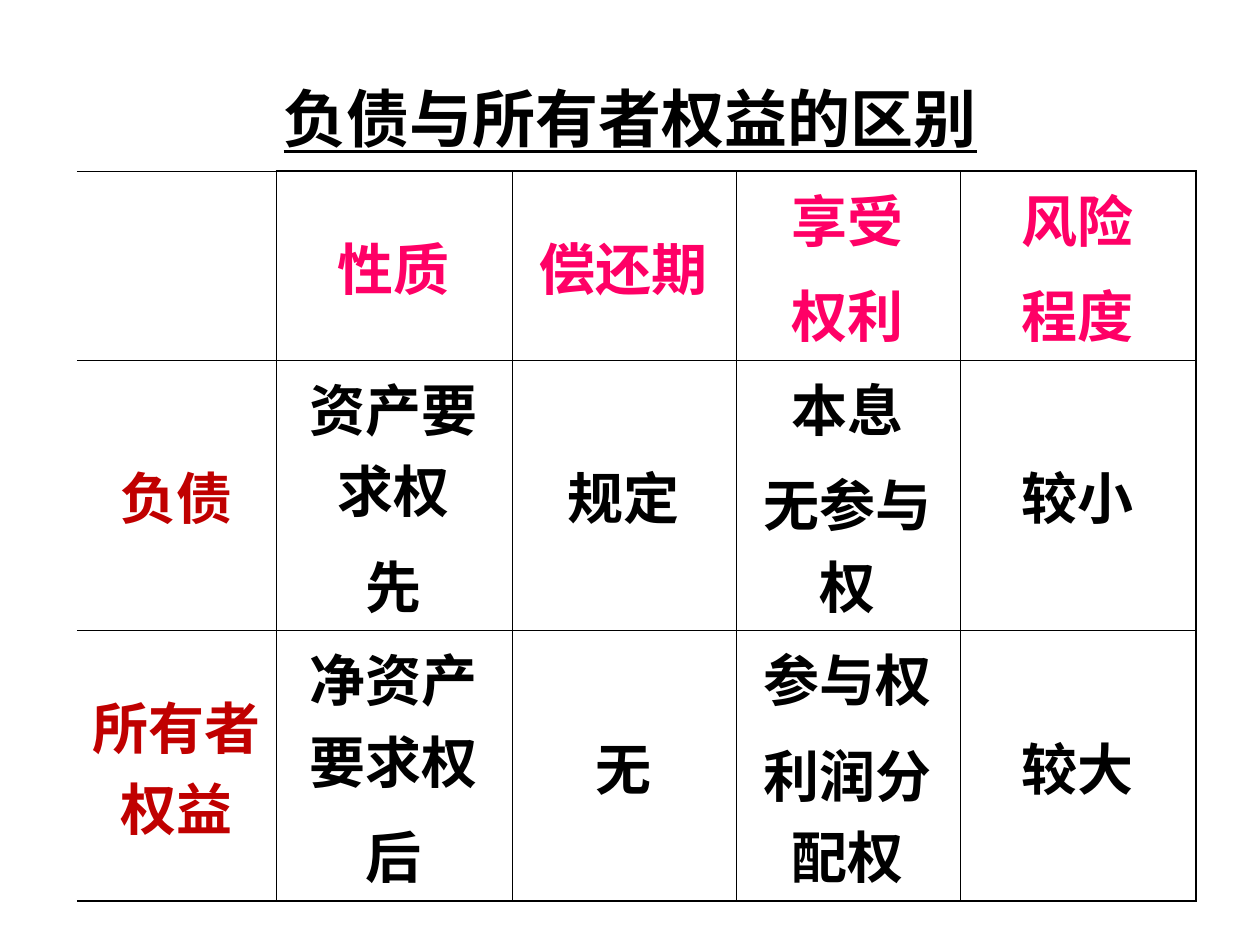
"""Build a slide comparing liabilities with owners' equity in a bordered table."""
import lxml.etree
import pptx
import pptx.dml.color
import pptx.enum.text
import pptx.oxml.ns
import pptx.util

TITLE = "负债与所有者权益的区别"
ROWS = [
    [[], ["性质"], ["偿还期"], ["享受", "权利"], ["风险", "程度"]],
    [["负债"], ["资产要求权", "先"], ["规定"], ["本息", "无参与权"], ["较小"]],
    [["所有者权益"], ["净资产要求权", "后"], ["无"], ["参与权", "利润分配权"], ["较大"]],
]
COLUMN_WIDTHS = [199, 236, 224, 224, 236]
ROW_HEIGHTS = [174, 228, 228]
TABLE_LEFT, TABLE_TOP = 77, 171
TITLE_BOX = (63, 38, 1134, 158)
BLACK, PINK, RED = "000000", "FF0066", "C00000"
THIN, THICK = 0.45, 1.08


def px(length):
    return pptx.util.Emu(length * 914400 // 126)


def style_font(font, name, size, color):
    font.name, font.size, font.bold = name, pptx.util.Pt(size), True
    font.color.rgb = pptx.dml.color.RGBColor.from_string(color)


def add_border(cell, side, width):
    qn = pptx.oxml.ns.qn
    properties = cell._tc.get_or_add_tcPr()
    line = lxml.etree.SubElement(properties, qn(f"a:ln{side}"), w=str(pptx.util.Pt(width)))
    if width:
        fill = lxml.etree.SubElement(line, qn("a:solidFill"))
        lxml.etree.SubElement(fill, qn("a:srgbClr"), val=BLACK)
    else:
        lxml.etree.SubElement(line, qn("a:noFill"))


def fill_cell(cell, lines, color):
    cell.vertical_anchor = pptx.enum.text.MSO_ANCHOR.MIDDLE
    cell.text = "\n".join(lines)
    for index, para in enumerate(cell.text_frame.paragraphs):
        para.alignment = pptx.enum.text.PP_ALIGN.CENTER
        if index:
            para.space_before = pptx.util.Pt(8)
        style_font(para.font, "Times New Roman", 32, color)


def add_title(slide):
    title = slide.shapes.title
    title.left, title.top, title.width, title.height = map(px, TITLE_BOX)
    title.text_frame.text = TITLE
    title.text_frame.vertical_anchor = pptx.enum.text.MSO_ANCHOR.MIDDLE
    para = title.text_frame.paragraphs[0]
    para.alignment = pptx.enum.text.PP_ALIGN.CENTER
    style_font(para.font, "Arial", 36, BLACK)
    para.font.underline = True


def add_comparison(slide):
    last_row, last_column = len(ROWS) - 1, len(COLUMN_WIDTHS) - 1
    table = slide.shapes.add_table(
        len(ROWS), len(COLUMN_WIDTHS), px(TABLE_LEFT), px(TABLE_TOP),
        px(sum(COLUMN_WIDTHS)), px(sum(ROW_HEIGHTS))).table
    table.first_row = table.horz_banding = False
    for column, width in zip(table.columns, COLUMN_WIDTHS):
        column.width = px(width)
    for row, height in zip(table.rows, ROW_HEIGHTS):
        row.height = px(height)
    for r, row in enumerate(ROWS):
        for c, lines in enumerate(row):
            cell = table.cell(r, c)
            color = PINK if r == 0 else RED if c == 0 else BLACK
            fill_cell(cell, lines, color)
            add_border(cell, "L", THIN if c else 0)
            add_border(cell, "R", THICK if c == last_column else THIN)
            add_border(cell, "T", THICK if r == 0 and c else THIN)
            add_border(cell, "B", THICK if r == last_row else THIN)
            cell.fill.background()


def main():
    deck = pptx.Presentation()
    deck.slide_width, deck.slide_height = px(1260), px(945)
    slide = deck.slides.add_slide(deck.slide_layouts[5])
    add_title(slide)
    add_comparison(slide)
    deck.save("out.pptx")


if __name__ == "__main__":
    main()
